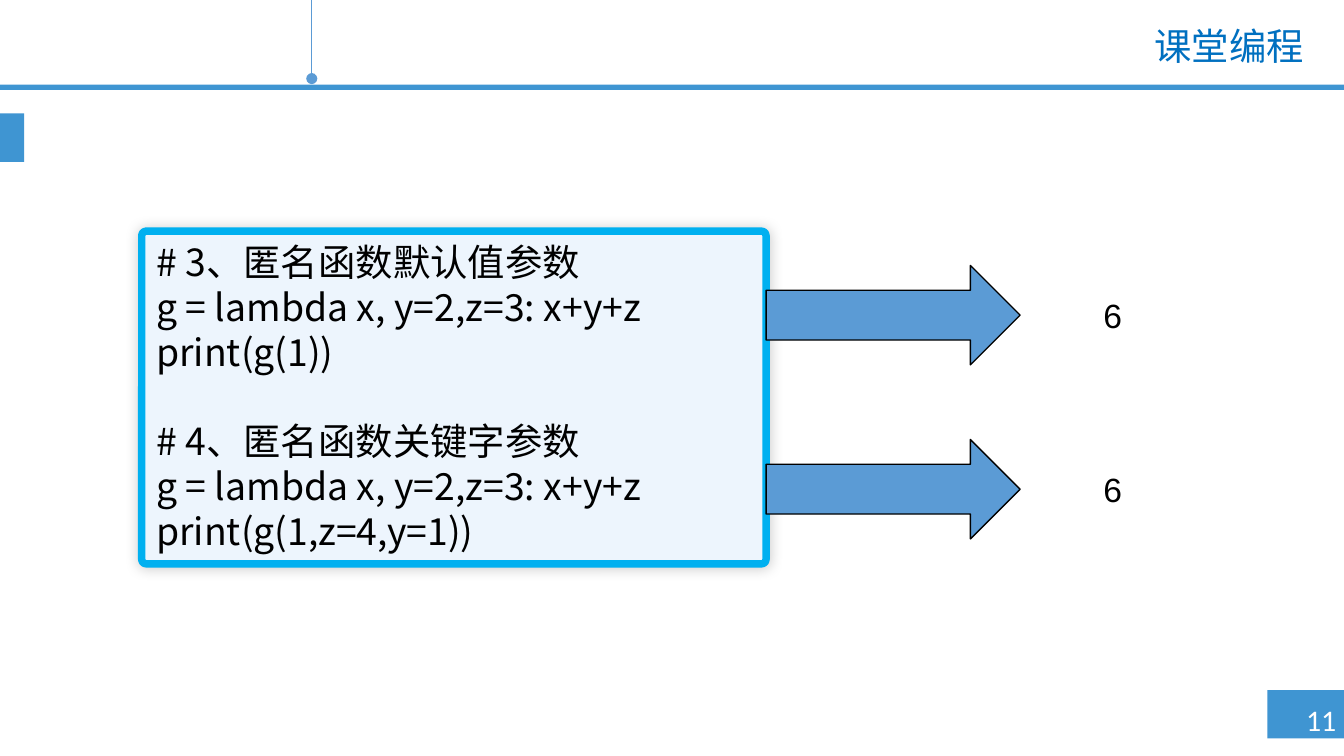
"""Build the classroom programming slide about lambda parameters."""
from dataclasses import dataclass
from typing import Optional

import lxml.etree
import pptx
import pptx.dml.color
import pptx.enum.shapes
import pptx.enum.text
import pptx.oxml
import pptx.oxml.ns
import pptx.util

RGB = pptx.dml.color.RGBColor
SHAPE = pptx.enum.shapes.MSO_SHAPE
ALIGN = pptx.enum.text.PP_ALIGN
QN = pptx.oxml.ns.qn

BAND_BLUE = RGB(0x3F, 0x95, 0xD2)
ARROW_BLUE = RGB(0x5B, 0x9B, 0xD5)
TITLE_BLUE = RGB(0x00, 0x70, 0xC0)
PANEL_FILL = RGB(0xED, 0xF5, 0xFD)
PANEL_EDGE = RGB(0x00, 0xB0, 0xF0)
BLACK = RGB(0, 0, 0)
WHITE = RGB(255, 255, 255)

PX = 4572
SLIDE_WIDTH, SLIDE_HEIGHT = 2000, 1125
CJK_FONT = "Noto Sans CJK SC"
LINE_PITCH = 24


@dataclass(frozen=True)
class Box:
    left: int
    top: int
    width: int
    height: int

    def emu(self) -> tuple[int, ...]:
        return tuple(v * PX for v in (self.left, self.top, self.width, self.height))


@dataclass(frozen=True)
class Example:
    code: tuple[str, ...]
    output: str
    arrow_top: int


BANDS = (Box(1886, 1027, 114, 72), Box(0, 126, 2000, 8), Box(0, 169, 36, 72))

EXAMPLES = (
    Example(("# 3、匿名函数默认值参数", "g = lambda x, y=2,z=3: x+y+z", "print(g(1))"), "6", 395),
    Example(("# 4、匿名函数关键字参数", "g = lambda x, y=2,z=3: x+y+z", "print(g(1,z=4,y=1))"), "6", 654),
)


def add_block(slide, kind, box: Box, fill: RGB, edge: Optional[RGB] = None, weight: float = 0.75):
    block = slide.shapes.add_shape(kind, *box.emu())
    block.shadow.inherit = False
    block.fill.solid()
    block.fill.fore_color.rgb = fill
    if edge is None:
        block.line.fill.background()
    else:
        block.line.color.rgb = edge
        block.line.width = pptx.util.Pt(weight)
    return block


def write(frame, text: str, *, size: int, font: str, color: RGB, align=ALIGN.LEFT,
          wrap: bool = True, pitch: Optional[int] = None) -> None:
    frame.word_wrap = wrap
    frame.vertical_anchor = pptx.enum.text.MSO_ANCHOR.MIDDLE
    frame.text = text
    for paragraph in frame.paragraphs:
        paragraph.alignment = align
        if pitch:
            paragraph.line_spacing = pptx.util.Pt(pitch)
        for run in paragraph.runs:
            run.font.size = pptx.util.Pt(size)
            run.font.name = font
            run.font.color.rgb = color
            east_asian = lxml.etree.SubElement(run.font._element, QN("a:ea"))
            east_asian.set("typeface", CJK_FONT)


def add_label(slide, box: Box, text: str, **text_format) -> None:
    write(slide.shapes.add_textbox(*box.emu()).text_frame, text, **text_format)


def add_pin(slide, x: int, bottom: int) -> None:
    pin = slide.shapes.add_connector(
        pptx.enum.shapes.MSO_CONNECTOR.STRAIGHT, x * PX, 0, x * PX, bottom * PX)
    pin.line.color.rgb = ARROW_BLUE
    pin.line.width = pptx.util.Pt(0.75)
    lxml.etree.SubElement(pin.line._get_or_add_ln(), QN("a:tailEnd")).set("type", "oval")
    lxml.etree.SubElement(pin._element.spPr, QN("a:effectLst"))


def add_glow_shadow(panel) -> None:
    effects = panel._element.spPr.find(QN("a:effectLst"))
    shadow = lxml.etree.SubElement(effects, QN("a:outerShdw"))
    shadow.set("blurRad", str(pptx.util.Pt(7)))
    shadow.set("algn", "ctr")
    tint = lxml.etree.SubElement(shadow, QN("a:srgbClr"))
    tint.set("val", str(BLACK))
    lxml.etree.SubElement(tint, QN("a:alpha")).set("val", "20000")


def add_code_panel(slide) -> None:
    panel = add_block(slide, SHAPE.ROUNDED_RECTANGLE, Box(211, 344, 929, 495),
                      PANEL_FILL, PANEL_EDGE, 4)
    panel.adjustments[0] = 0.013
    add_glow_shadow(panel)
    code = "\n".join(line for example in EXAMPLES for line in example.code)
    write(panel.text_frame, code, size=20, font=CJK_FONT, color=BLACK, pitch=LINE_PITCH)
    panel.text_frame.margin_bottom = 14 * PX
    second_start = len(EXAMPLES[0].code)
    panel.text_frame.paragraphs[second_start].space_before = pptx.util.Pt(LINE_PITCH)


def add_result(slide, example: Example) -> None:
    add_block(slide, SHAPE.RIGHT_ARROW, Box(1140, example.arrow_top, 378, 148), ARROW_BLUE, BLACK)
    add_label(slide, Box(1622, example.arrow_top + 34, 68, 80), example.output,
              size=18, font="Arial", color=BLACK, align=ALIGN.CENTER, wrap=False)


def main() -> None:
    deck = pptx.Presentation()
    deck.slide_width, deck.slide_height = SLIDE_WIDTH * PX, SLIDE_HEIGHT * PX
    slide = deck.slides.add_slide(deck.slide_layouts[6])
    for band in BANDS:
        add_block(slide, SHAPE.RECTANGLE, band, BAND_BLUE)
    add_label(slide, Box(1924, 1034, 104, 74), "11", size=16, font="Calibri",
              color=WHITE, wrap=False)
    add_pin(slide, 464, 117)
    add_label(slide, Box(480, 28, 1480, 80), "课堂编程", size=20, font="Lato",
              color=TITLE_BLUE, align=ALIGN.RIGHT)
    add_code_panel(slide)
    for example in EXAMPLES:
        add_result(slide, example)
    deck.save("out.pptx")


if __name__ == "__main__":
    main()
